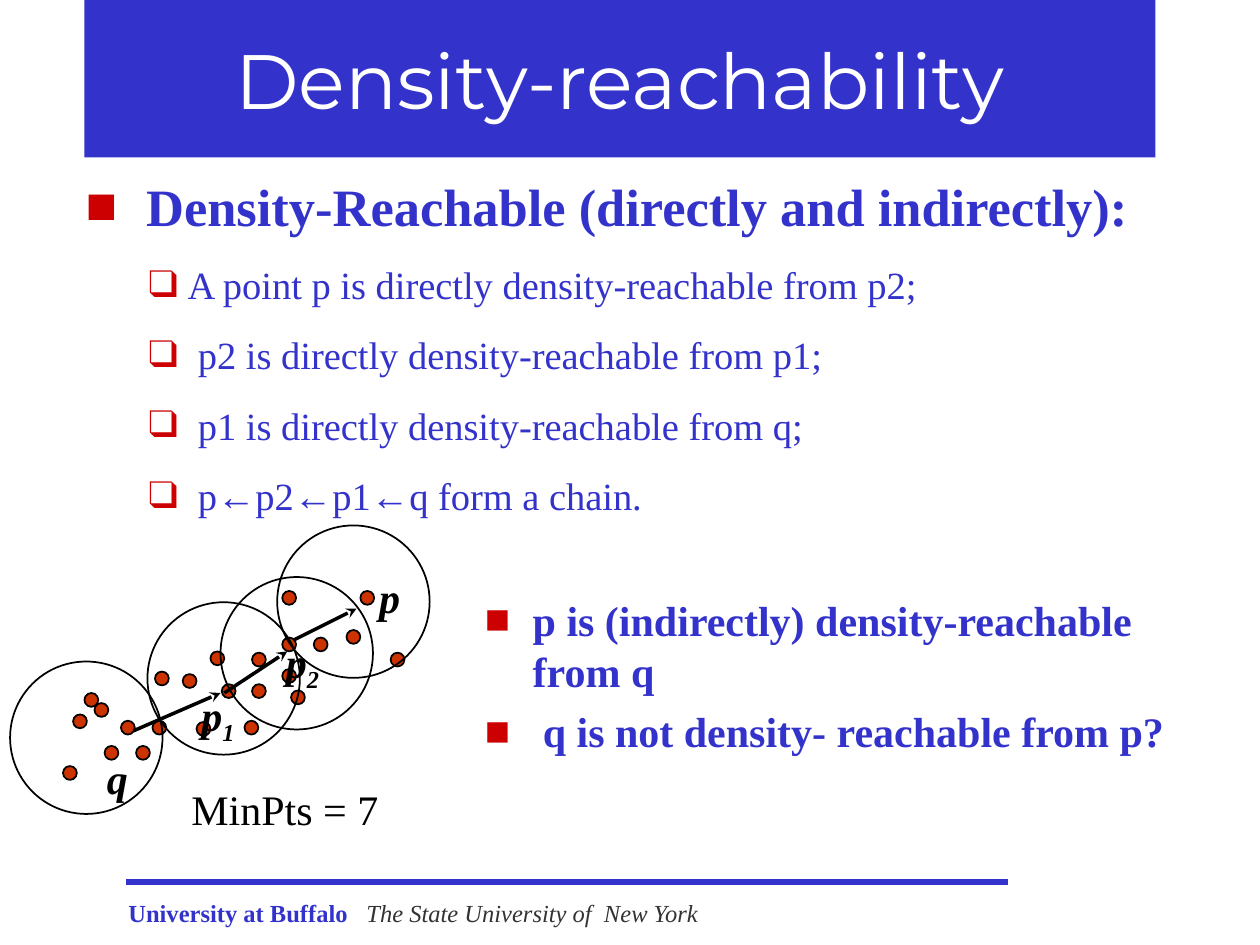
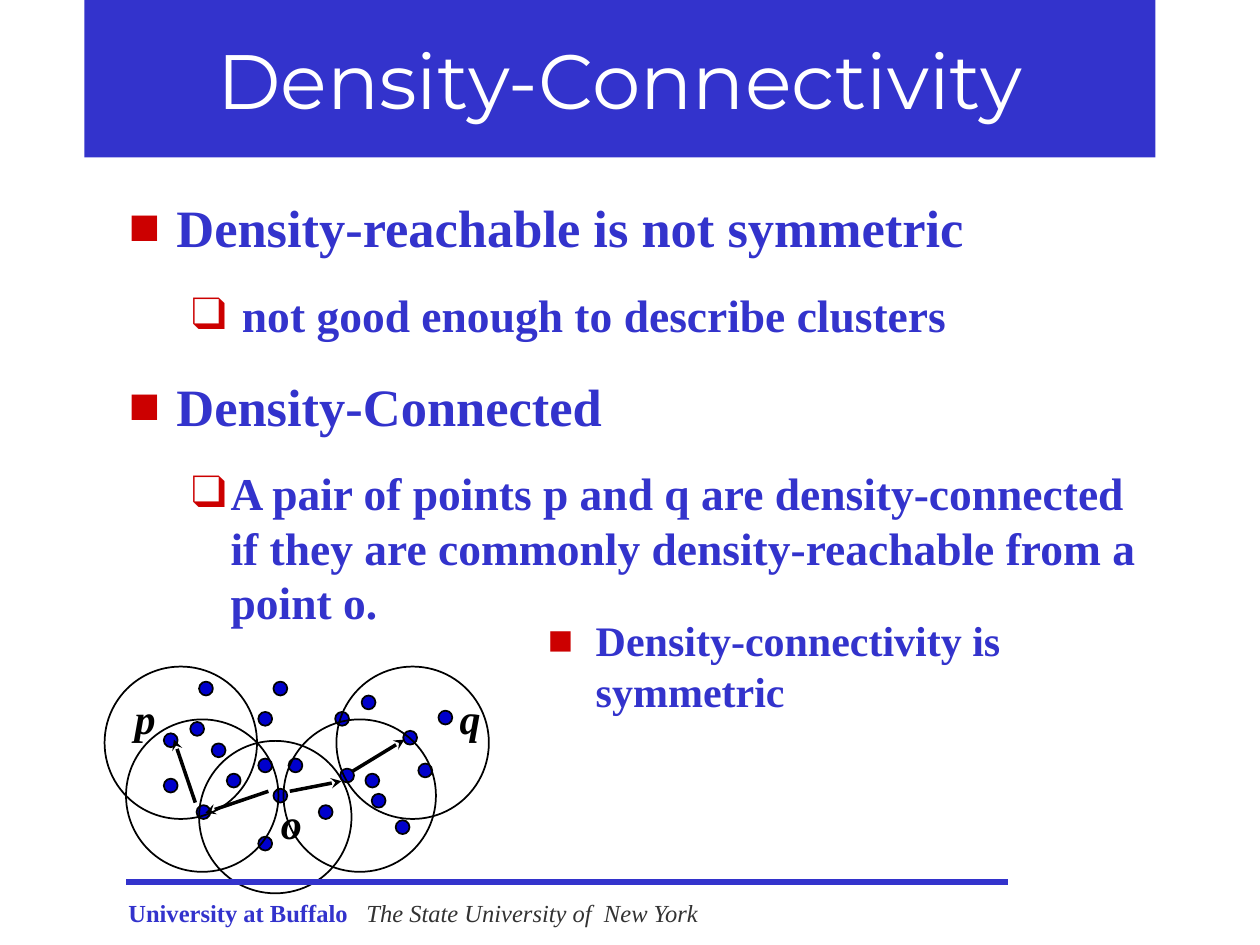
"""Build two slides on density-reachability and density-connectivity."""
from itertools import groupby

from lxml.etree import SubElement as Sub
from pptx import Presentation
from pptx.dml.color import RGBColor
from pptx.enum.shapes import MSO_CONNECTOR as Line, MSO_SHAPE as Shape
from pptx.enum.text import MSO_ANCHOR as Anchor, MSO_AUTO_SIZE as Fit, PP_ALIGN as Align
from pptx.oxml.ns import qn
from pptx.util import Inches, Pt

hue = RGBColor.from_string
BLUE, RED, BLACK, WHITE, GREY = "3333CC", "CC0000", "000000", "FFFFFF", "333333"
SERIF = "Times New Roman"
DOT, RING = 0.11, 1.21


def write(frame, text, size=24, color=BLUE, bold=False, italic=False, font=SERIF,
          align=Align.LEFT, mark="", left=0, hang=0, before=0, sub=""):
    """Add one paragraph, with an optional bullet and subscript."""
    first = not frame.text
    para = frame.paragraphs[0] if first else frame.add_paragraph()
    para.alignment = align
    para.space_before = Pt(0 if first else before)
    if mark:
        props = para._p.get_or_add_pPr()
        props.set("marL", str(Inches(left)))
        props.set("indent", str(-Inches(hang)))
        Sub(Sub(props, qn("a:buClr")), qn("a:srgbClr"), val=RED)
        Sub(props, qn("a:buFont"), typeface=SERIF)
        Sub(props, qn("a:buChar"), char=mark)
    parts = [("".join(chars), "Arial" if arrow else font, False)
             for arrow, chars in groupby(text, lambda char: char == "←")]
    if sub:
        parts.append((sub, font, True))
    for part, face, low in parts:
        run = para.add_run()
        run.text = part
        run.font.name, run.font.size = face, Pt(size)
        run.font.bold, run.font.italic = bold, italic
        run.font.color.rgb = hue(color)
        if low:
            run._r.get_or_add_rPr().set("baseline", "-25000")


def add_text(slide, left, top, width, height):
    """Add an empty text box and return its frame."""
    box = slide.shapes.add_textbox(Inches(left), Inches(top), Inches(width), Inches(height))
    box.text_frame.word_wrap = True
    return box.text_frame


head = dict(size=30, bold=True, mark="■", left=0.38, hang=0.38, before=18.7)
wide = head | dict(left=0.48, hang=0.48)
item = dict(size=22, mark="❑", left=0.81, hang=0.31, before=13.8)
pad = item | dict(left=0.89, hang=0.39)
bold = item | dict(size=26, bold=True, before=16.2)
note = dict(bold=True, mark="■", left=0.38, hang=0.38, before=6)
name = dict(color=BLACK, bold=True, italic=True)

pages = [
    dict(
        title="Density-reachability",
        body=(0.58, 1.33, 8.5, 4.5),
        list=[
            ("Density-Reachable (directly and indirectly):", wide),
            ("A point p is directly density-reachable from p2;", item),
            ("p2 is directly density-reachable from p1;", pad),
            ("p1 is directly density-reachable from q;", pad),
            ("p←p2←p1←q form a chain.", pad),
        ],
        side=(3.75, 4.67, 5.67, 2.08),
        notes=[
            ("p is (indirectly) density-reachable from q", note),
            ("q is not density- reachable from p?", note | dict(left=0.46, hang=0.46)),
        ],
        fill="CC3300",
        dots=[(1.08, 5.92), (2.24, 5.06), (2.24, 4.69), (1.76, 5.43), (2, 5.18), (2, 5.43),
              (0.58, 5.67), (2.75, 5), (3.1, 5.18), (2.86, 4.69), (2.24, 5.31), (2.49, 5.06),
              (0.75, 5.58), (0.83, 5.92), (0.5, 6.08), (1.45, 5.35), (0.96, 5.72),
              (1.23, 5.33), (1.21, 5.72), (0.67, 5.5), (2.31, 5.48), (1.56, 5.73),
              (1.67, 5.17), (1.94, 5.72)],
        rings=[(1.75, 4.58), (1.17, 4.78), (2.2, 4.17), (0.08, 5.25)],
        labels=[
            (2.91, 4.49, 0.42, "p", name),
            (0.75, 5.92, 0.42, "q", name),
            (2.17, 5, 0.67, "p", name | dict(sub="2")),
            (1.5, 5.42, 0.67, "p", name | dict(sub="1")),
            (1.42, 6.17, 3.17, "MinPts = 7", dict(color=BLACK)),
        ],
        arrows=[(2.33, 5.08, 2.83, 4.83), (1.78, 5.5, 2.28, 5.17), (1.06, 5.8, 1.75, 5.5)],
    ),
    dict(
        title="Density-Connectivity",
        body=(0.92, 1.5, 8.3, 4.5),
        list=[
            ("Density-reachable is not symmetric", head),
            ("not good enough to describe clusters", bold | dict(left=0.9, hang=0.4)),
            ("Density-Connected", head),
            ("A pair of points p and q are density-connected if they are commonly "
             "density-reachable from a point o.", bold),
        ],
        side=(4.25, 4.83, 5, 1.25),
        notes=[("Density-connectivity is symmetric", note)],
        fill="0000CC",
        dots=[(1.68, 5.9), (2.05, 6.02), (2.05, 5.65), (1.56, 6.39), (1.8, 6.14), (2.05, 6.64),
              (2.17, 6.26), (2.17, 5.41), (2.9, 6.14), (2.66, 5.65), (1.3, 6.18), (2.29, 6.02),
              (2.53, 6.39), (3.14, 6.51), (3.32, 6.06), (2.7, 6.1), (2.95, 6.3), (3.48, 5.64),
              (2.87, 5.52), (3.2, 5.8), (1.51, 5.73), (1.3, 5.82), (1.58, 5.41)],
        rings=[(1, 5.71), (1.58, 5.88), (2.25, 5.71), (2.67, 5.29), (0.83, 5.29)],
        labels=[
            (0.97, 5.45, 0.42, "p", name),
            (3.55, 5.45, 0.42, "q", name),
            (2.13, 6.28, 0.42, "o", name),
        ],
        arrows=[(2.13, 6.28, 1.63, 6.45), (2.3, 6.28, 2.71, 6.2),
                (1.55, 6.37, 1.38, 5.87), (2.8, 6.12, 3.21, 5.87)],
    ),
]

deck = Presentation()
deck.slide_width, deck.slide_height = Inches(10), Inches(7.5)

for page in pages:
    slide = deck.slides.add_slide(deck.slide_layouts[1])
    title, body = slide.placeholders
    for holder, place in ((title, (0.67, 0, 8.5, 1.25)), (body, page["body"])):
        holder.left, holder.top, holder.width, holder.height = map(Inches, place)
        holder.text_frame.auto_size = Fit.NONE
    title.fill.solid()
    title.fill.fore_color.rgb = hue(BLUE)
    title.text_frame.vertical_anchor = Anchor.MIDDLE
    write(title.text_frame, page["title"], size=44, color=WHITE, font="Montserrat",
          align=Align.CENTER)
    for text, style in page["list"]:
        write(body.text_frame, text, **style)

    write(add_text(slide, 0.92, 7.08, 2.05, 0.34), "University at Buffalo",
          size=14, bold=True)
    write(add_text(slide, 2.81, 7.08, 3, 0.34), "The State University of  New York",
          size=14, color=GREY, italic=True)

    rounds = [(spot, DOT) for spot in page["dots"]] + [(spot, RING) for spot in page["rings"]]
    for (left, top), size in rounds:
        disc = slide.shapes.add_shape(Shape.OVAL, Inches(left), Inches(top),
                                      Inches(size), Inches(size))
        disc.shadow.inherit = False
        disc.line.color.rgb, disc.line.width = hue(BLACK), Pt(1)
        if size == DOT:
            disc.fill.solid()
            disc.fill.fore_color.rgb = hue(page["fill"])
        else:
            disc.fill.background()

    for left, top, width, text, style in page["labels"]:
        write(add_text(slide, left, top, width, 0.5), text, **style)

    lines = [((1, 7, 8, 7), BLUE, 3)] + [(ends, BLACK, 2) for ends in page["arrows"]]
    for ends, color, width in lines:
        line = slide.shapes.add_connector(Line.STRAIGHT, *map(Inches, ends))
        line.line.color.rgb, line.line.width = hue(color), Pt(width)
        if color == BLACK:
            Sub(line.line._get_or_add_ln(), qn("a:tailEnd"), type="stealth")
        Sub(line._element.spPr, qn("a:effectLst"))

    side = add_text(slide, *page["side"])
    for text, style in page["notes"]:
        write(side, text, **style)

deck.save("out.pptx")
